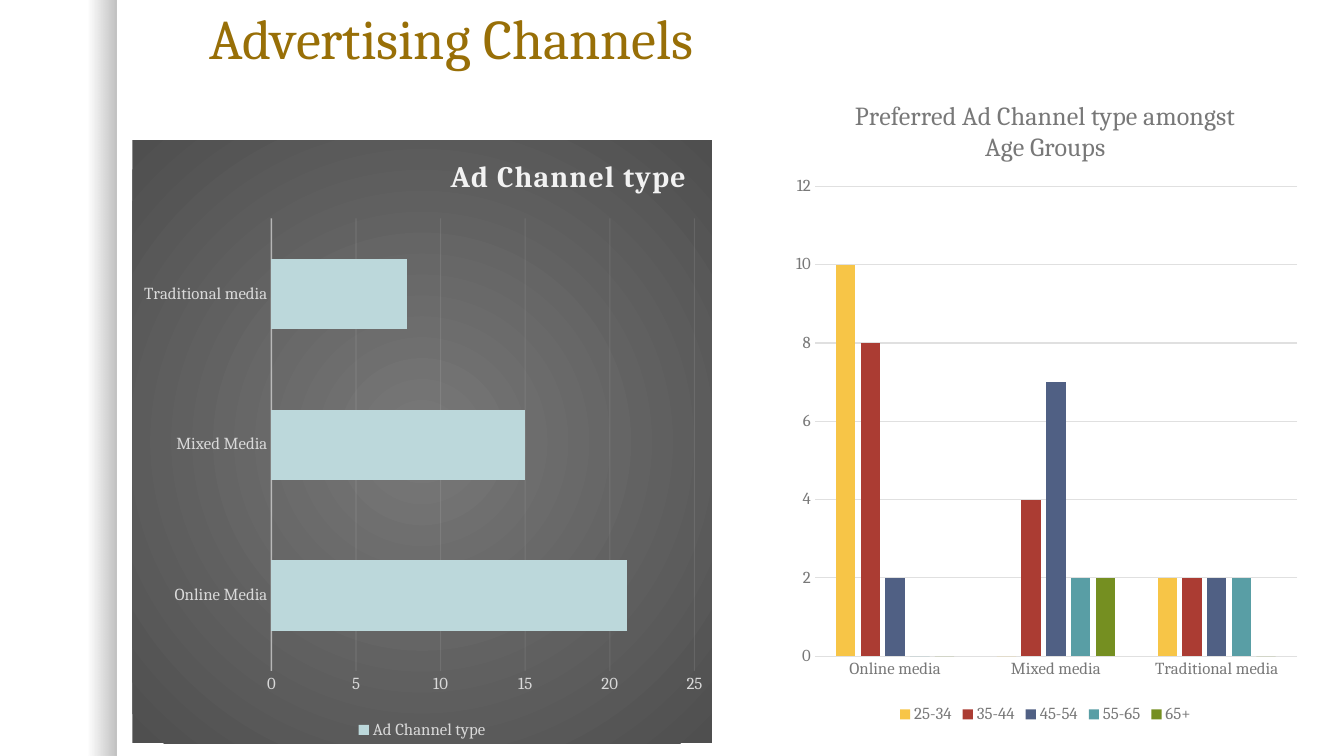
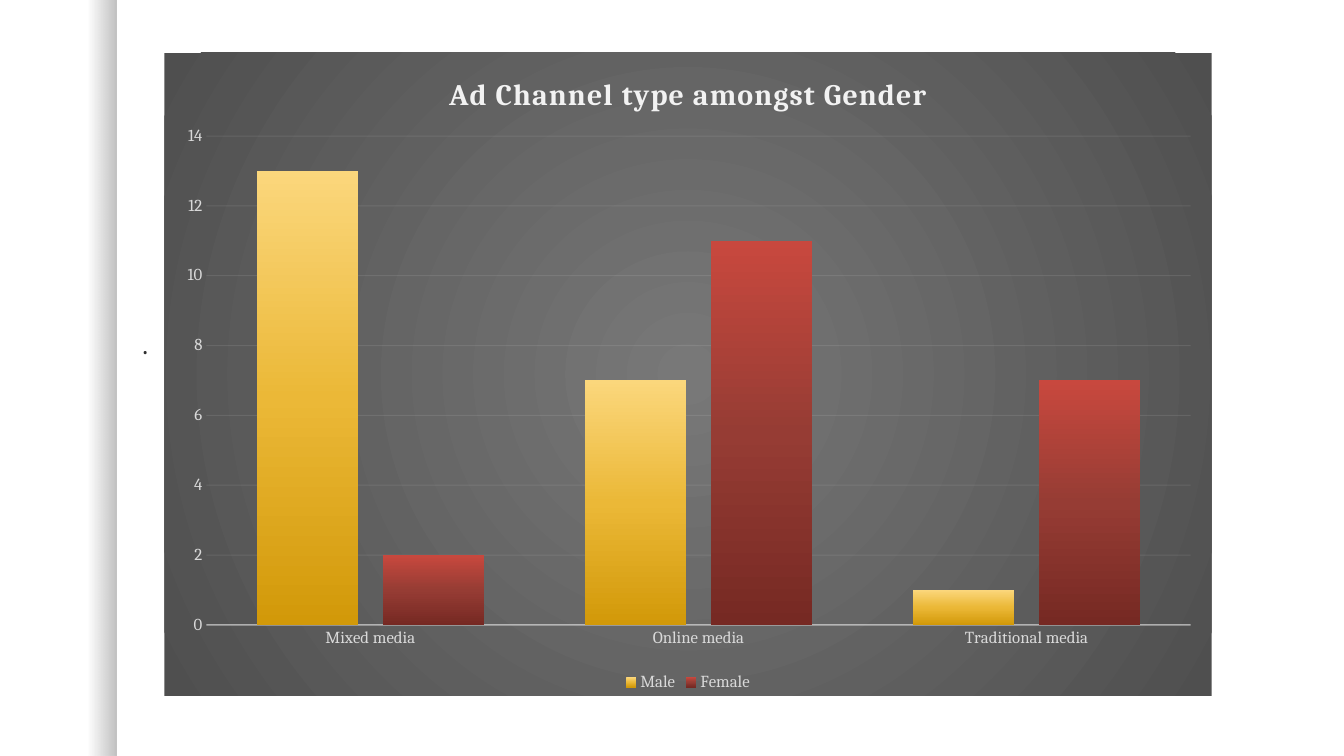
from dataclasses import dataclass

import pptx
import pptx.chart.data
import pptx.dml.color
import pptx.enum.chart
import pptx.enum.text
import pptx.oxml
import pptx.oxml.ns
import pptx.util

Pt = pptx.util.Pt
RGBColor = pptx.dml.color.RGBColor
ChartType = pptx.enum.chart.XL_CHART_TYPE

FONT = "Cambria"
BLACK = RGBColor(0x00, 0x00, 0x00)
INK = RGBColor(0x30, 0x30, 0x30)
BRONZE = RGBColor(0x98, 0x6F, 0x07)
GRAY = RGBColor(0x78, 0x78, 0x78)
CHARCOAL = RGBColor(0x4F, 0x4F, 0x4F)
SILVER = RGBColor(0xE0, 0xE0, 0xE0)
PALE = RGBColor(0xD9, 0xD9, 0xD9)
OFF_WHITE = RGBColor(0xF2, 0xF2, 0xF2)
YELLOW = RGBColor(0xF7, 0xC5, 0x47)
RED = RGBColor(0xAB, 0x3C, 0x33)
BLUE = RGBColor(0x50, 0x60, 0x84)
TEAL = RGBColor(0x59, 0x9E, 0xA5)
GREEN = RGBColor(0x75, 0x8F, 0x21)
ICE = RGBColor(0xBC, 0xD8, 0xDB)
GOLD_STOPS = [(0, RGBColor(0xFB, 0xD7, 0x7C), 100),
              (50, RGBColor(0xEB, 0xB8, 0x37), 100),
              (100, RGBColor(0xD2, 0x99, 0x09), 100)]
BRICK_STOPS = [(0, RGBColor(0xC8, 0x48, 0x3E), 100),
               (50, RGBColor(0x96, 0x3C, 0x34), 100),
               (100, RGBColor(0x76, 0x29, 0x23), 100)]
PANEL_STOPS = [(0, GRAY, 100), (100, CHARCOAL, 100)]
BAND_STOPS = [(75, BLACK, 0), (100, BLACK, 25)]

RIGHTWARD = '<a:lin ang="0" scaled="0"/>'
DOWNWARD = '<a:lin ang="5400000" scaled="0"/>'
RADIAL = ('<a:path path="circle"><a:fillToRect l="50000" t="50000" '
          'r="50000" b="50000"/></a:path>')


@dataclass
class ChartStyle:
    text: RGBColor
    title: RGBColor
    title_size: float
    title_bold: bool
    title_spacing: int
    line: RGBColor
    axis_width: float
    axis_opacity: int
    grid_opacity: int
    panel: bool


LIGHT = ChartStyle(GRAY, GRAY, 18.6, False, 0, SILVER, 0.75, 100, 100, False)
DARK = ChartStyle(PALE, OFF_WHITE, 21.3, True, 100, OFF_WHITE, 1, 54, 10, True)


# XML helpers
def xml(tag, body):
    names = pptx.oxml.ns.nsdecls("a", "c")
    return pptx.oxml.parse_xml(f"<{tag} {names}>{body}</{tag}>")


def gradient(stops, direction):
    marks = "".join(
        f'<a:gs pos="{pos * 1000}"><a:srgbClr val="{color}">'
        f'<a:alpha val="{opacity * 1000}"/></a:srgbClr></a:gs>'
        for pos, color, opacity in stops)
    return xml("a:gradFill", f"<a:gsLst>{marks}</a:gsLst>{direction}")


def replace_solid(properties, fill):
    solid = properties.find(pptx.oxml.ns.qn("a:solidFill"))
    properties.replace(solid, fill)


def fade(chart, place, opacity):
    for color in chart.element.xpath(f".//{place}/c:spPr//a:srgbClr"):
        color.append(pptx.oxml.parse_xml(
            f'<a:alpha {pptx.oxml.ns.nsdecls("a")} val="{opacity * 1000}"/>'))


def manual_layout(**values):
    marks = "".join(f'<c:{key} val="{value}"/>' for key, value in values.items())
    return xml("c:layout", f"<c:manualLayout>{marks}</c:manualLayout>")


def drop_layout(parent):
    for old in parent.findall(pptx.oxml.ns.qn("c:layout")):
        parent.remove(old)


# Text
def style_font(font, size, color, bold=False):
    font.name = FONT
    font.size = Pt(size)
    font.bold = bold
    font.color.rgb = color


def add_run(paragraph, text, size, color, bold=False):
    run = paragraph.add_run()
    run.text = text
    style_font(run.font, size, color, bold)


def fill_placeholder(holder, box, text, size, color, spacing, align, anchor):
    holder.left, holder.top, holder.width, holder.height = map(Pt, box)
    frame = holder.text_frame
    frame.word_wrap = True
    frame.auto_size = pptx.enum.text.MSO_AUTO_SIZE.NONE
    frame.vertical_anchor = anchor
    line = frame.paragraphs[0]
    properties = line._p.get_or_add_pPr()
    properties.set("marL", "0")
    properties.set("indent", "0")
    properties.append(xml("a:buNone", ""))
    line.alignment = align
    line.line_spacing = spacing
    line.space_before = Pt(0)
    add_run(line, text, size, color)


# Charts
def style_axes(chart, style):
    for axis in (chart.category_axis, chart.value_axis):
        axis.major_tick_mark = pptx.enum.chart.XL_TICK_MARK.NONE
        style_font(axis.tick_labels.font, 12, style.text)
    axis_line = chart.category_axis.format.line
    axis_line.color.rgb = style.line
    axis_line.width = Pt(style.axis_width)
    chart.value_axis.format.line.fill.background()
    grid_line = chart.value_axis.major_gridlines.format.line
    grid_line.color.rgb = style.line
    grid_line.width = Pt(0.75)
    fade(chart, "c:catAx", style.axis_opacity)
    fade(chart, "c:majorGridlines", style.grid_opacity)


def style_title(chart, text, style, position):
    chart.has_title = True
    add_run(chart.chart_title.text_frame.paragraphs[0], text,
            style.title_size, style.title, style.title_bold)
    chart.chart_title.include_in_layout = False
    heading = chart.element.xpath("./c:chart/c:title")[0]
    heading.xpath(".//a:r/a:rPr")[0].set("spc", str(style.title_spacing))
    if position:
        drop_layout(heading)
        x, y = position
        heading.find(pptx.oxml.ns.qn("c:tx")).addnext(
            manual_layout(xMode="edge", yMode="edge", x=x, y=y))


def place_plot(chart, area):
    plot_area = chart.element.xpath("./c:chart/c:plotArea")[0]
    drop_layout(plot_area)
    x, y, w, h = area
    plot_area.insert(0, manual_layout(layoutTarget="inner", xMode="edge",
                                      yMode="edge", x=x, y=y, w=w, h=h))


def add_bars(slide, kind, box, title, categories, series, style, gap, overlap,
             area, title_position=None):
    data = pptx.chart.data.CategoryChartData()
    data.categories = categories
    for name, values, _ in series:
        data.add_series(name, values)
    chart = slide.shapes.add_chart(kind, *map(Pt, box), data).chart
    style_font(chart.font, 10, INK)
    style_title(chart, title, style, title_position)
    style_axes(chart, style)
    place_plot(chart, area)
    chart.has_legend = True
    chart.legend.position = pptx.enum.chart.XL_LEGEND_POSITION.BOTTOM
    chart.legend.include_in_layout = False
    style_font(chart.legend.font, 12, style.text)

    plot = chart.plots[0]
    plot.vary_by_categories = False
    plot.gap_width = gap
    plot.overlap = overlap
    looks = chart.element.xpath(".//c:ser")
    for bars, look, (_, _, paint) in zip(plot.series, looks, series):
        bars.format.fill.solid()
        if isinstance(paint, RGBColor):
            bars.format.fill.fore_color.rgb = paint
        else:
            replace_solid(look.find(pptx.oxml.ns.qn("c:spPr")),
                          gradient(paint, DOWNWARD))
    if style.panel:
        panel = xml("c:spPr", "")
        panel.append(gradient(PANEL_STOPS, RADIAL))
        panel.append(xml("a:ln", "<a:noFill/>"))
        chart.element.find(pptx.oxml.ns.qn("c:chart")).addnext(panel)


# Shared left band, kept on the master
def add_master_band(deck, slide):
    band = slide.shapes.add_shape(
        pptx.enum.shapes.MSO_SHAPE.RECTANGLE, 0, 0, Pt(83.5), deck.slide_height)
    band.shadow.inherit = False
    band.line.fill.background()
    band.fill.solid()
    replace_solid(band.element.spPr, gradient(BAND_STOPS, RIGHTWARD))
    band.element.nvSpPr.cNvPr.set("id", "20")
    deck.slide_master.shapes.element.insert(2, band.element)


def build_channels(slide):
    fill_placeholder(slide.shapes.title, (106, 25, 433.5, 29),
                     "Advertising Channels", 40, BRONZE, 0.8,
                     pptx.enum.text.PP_ALIGN.CENTER,
                     pptx.enum.text.MSO_ANCHOR.BOTTOM)
    add_bars(slide, ChartType.COLUMN_CLUSTERED, (559.5, 54, 374.5, 466),
             "Preferred Ad Channel type amongst Age Groups",
             ["Online media", "Mixed media", "Traditional media"],
             [("25-34", (10, 0, 2), YELLOW),
              ("35-44", (8, 4, 2), RED),
              ("45-54", (2, 7, 2), BLUE),
              ("55-65", (0, 2, 2), TEAL),
              ("65+", (0, 2, 0), GREEN)],
             LIGHT, 219, -27, (0.06, 0.17, 0.92, 0.72))
    add_bars(slide, ChartType.BAR_CLUSTERED, (94.5, 100, 414, 431),
             "Ad Channel type",
             ["Online Media", "Mixed Media", "Traditional media"],
             [("Ad Channel type", (21, 15, 8), ICE)],
             DARK, 115, -20, (0.24, 0.13, 0.73, 0.75), (0.54, 0.02))


def build_gender(slide):
    title = slide.shapes.title.element
    title.getparent().remove(title)
    fill_placeholder(slide.placeholders[1], (94.5, 232.5, 247, 204),
                     ".", 20, INK, 0.9, pptx.enum.text.PP_ALIGN.LEFT,
                     pptx.enum.text.MSO_ANCHOR.TOP)
    add_bars(slide, ChartType.COLUMN_CLUSTERED, (117.5, 37.5, 748, 459.5),
             "Ad Channel type amongst Gender",
             ["Mixed media", "Online media", "Traditional media"],
             [("Male", (13, 7, 1), GOLD_STOPS),
              ("Female", (2, 11, 7), BRICK_STOPS)],
             DARK, 100, -24, (0.04, 0.13, 0.94, 0.76))


def main():
    deck = pptx.Presentation()
    deck.slide_width, deck.slide_height = Pt(960), Pt(540)
    channels = deck.slides.add_slide(deck.slide_layouts[5])
    gender = deck.slides.add_slide(deck.slide_layouts[1])
    add_master_band(deck, channels)
    build_channels(channels)
    build_gender(gender)
    deck.save("out.pptx")


if __name__ == "__main__":
    main()
